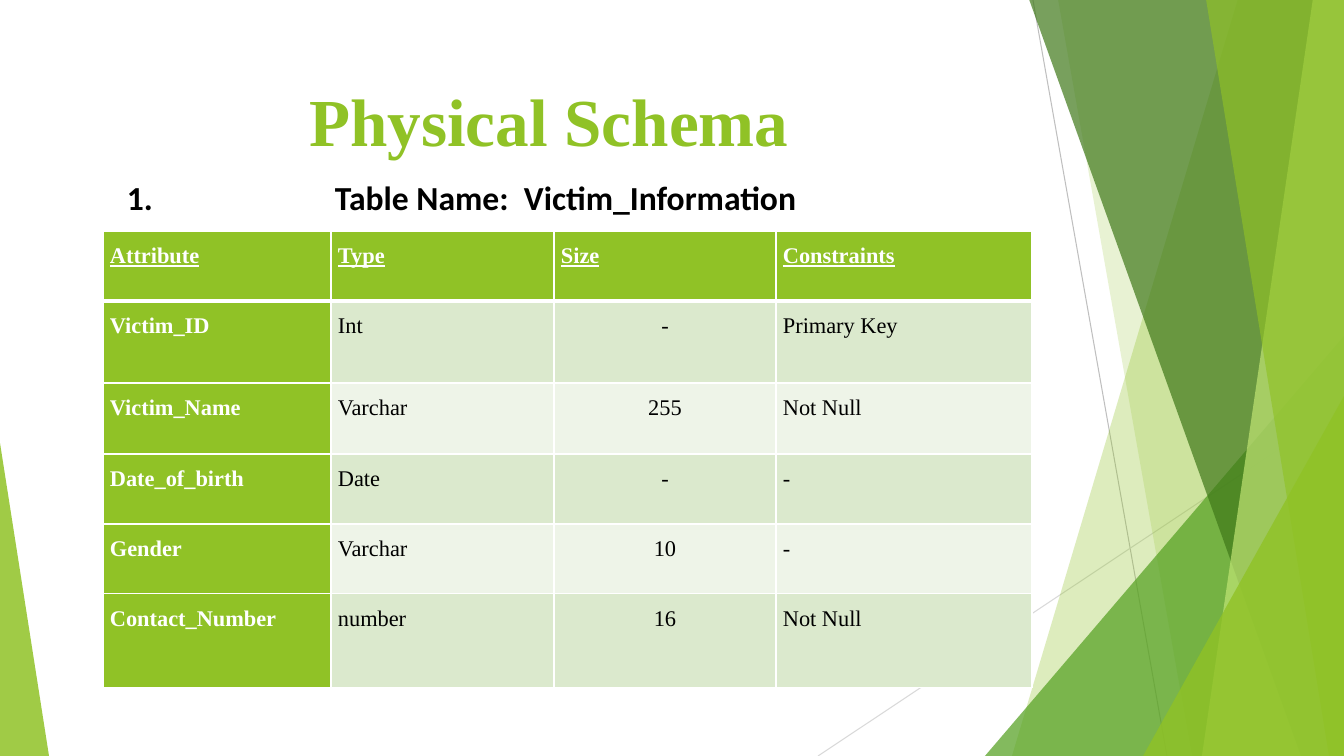
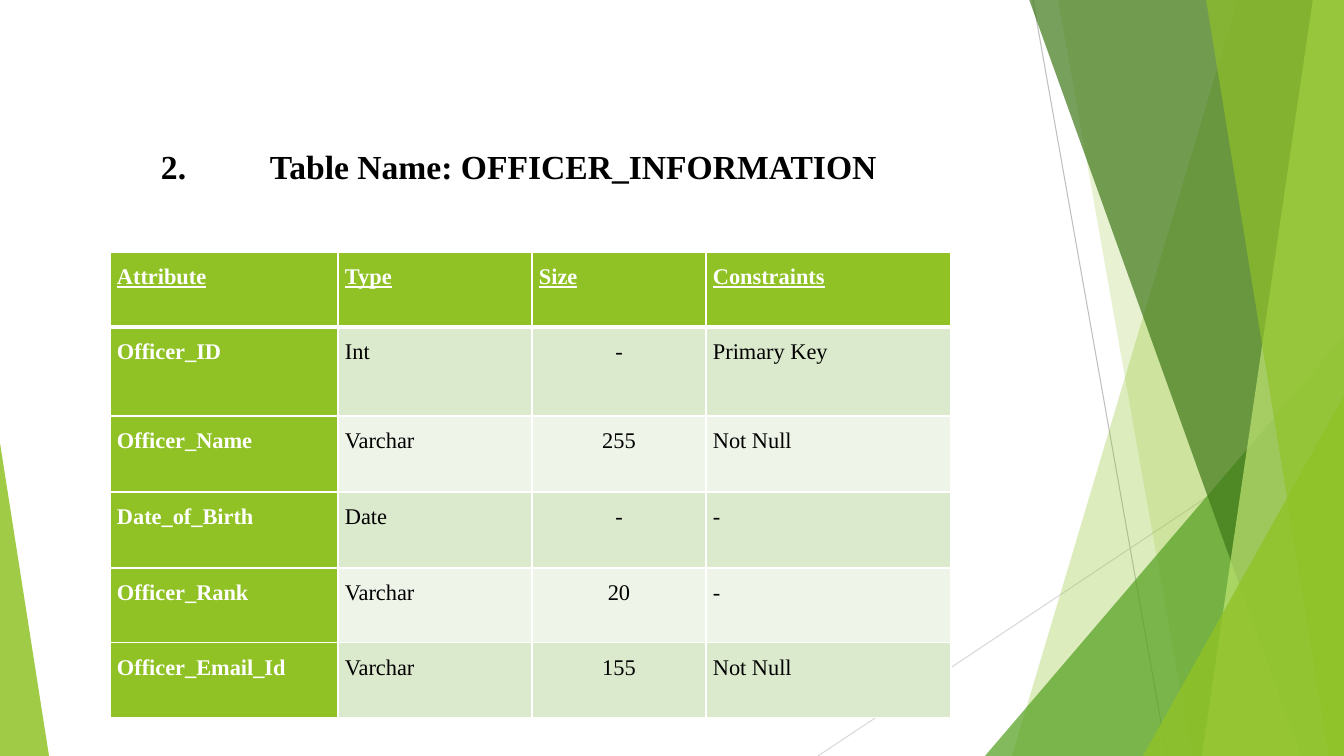
from lxml.etree import SubElement
from pptx import Presentation
from pptx.dml.color import RGBColor
from pptx.enum.shapes import MSO_CONNECTOR, MSO_SHAPE
from pptx.enum.text import MSO_ANCHOR, PP_ALIGN
from pptx.oxml.ns import qn
from pptx.util import Emu, Pt

# Shared look
WIDTH, HEIGHT = 1344, 756
EMU_PER_PX = 12192000 / WIDTH
GREEN, LEAF, FOREST, LIME = "90C226", "54A021", "3F7819", "C0E474"
WHITE, BLACK = "FFFFFF", "000000"
BANDS = ("DBE9CD", "EEF4E8")
SERIF, SANS = "Times New Roman", "Calibri"
HEADER = ("Attribute", "Type", "Size", "Constraints")
SIZE_COLUMN = HEADER.index("Size")

# Background facets, back to front; a band is (top left, top right, bottom right, bottom left)
THREADS = [((1033, 0), (1167, HEIGHT), "BFBFBF"), ((WIDTH, 406), (818, HEIGHT), "D9D9D9")]
FACETS = [
    ("band", (1238, WIDTH, WIDTH, 1012), GREEN, 30),
    ("band", (1058, WIDTH, WIDTH, 1192), GREEN, 20),
    ("triangle", (985, 336, 359, 420, 1), LEAF, 72),
    ("band", (1029, WIDTH, WIDTH, 1301), FOREST, 70),
    ("band", (1313, WIDTH, WIDTH, 1202), LIME, 70),
    ("band", (1206, WIDTH, WIDTH, 1329), GREEN, 65),
    ("triangle", (1143, 396, 201, 360, 1), GREEN, 80),
    ("triangle", (0, 443, 49, 313, 0), GREEN, 85),
]

VICTIM_ROWS = [
    ("Victim_ID", "Int", "-", "Primary Key"),
    ("Victim_Name", "Varchar", "255", "Not Null"),
    ("Date_of_birth", "Date", "-", "-"),
    ("Gender", "Varchar", "10", "-"),
    ("Contact_Number", "number", "16", "Not Null"),
]
OFFICER_ROWS = [
    ("Officer_ID", "Int", "-", "Primary Key"),
    ("Officer_Name", "Varchar", "255", "Not Null"),
    ("Date_of_Birth", "Date", "-", "-"),
    ("Officer_Rank", "Varchar", "20", "-"),
    ("Officer_Email_Id", "Varchar", "155", "Not Null"),
]


def px(length):
    return Emu(round(length * EMU_PER_PX))


def color(value):
    return RGBColor.from_string(value)


def style_font(paragraph, name, size, value, bold=True, underline=False):
    font = paragraph.font
    font.name, font.size, font.bold = name, Pt(size), bold
    font.color.rgb = color(value)
    if underline:
        font.underline = True


# Background
def add_thread(slide, start, end, value):
    line = slide.shapes.add_connector(
        MSO_CONNECTOR.STRAIGHT, *map(px, start), *map(px, end))
    line.line.color.rgb = color(value)
    line.line.width = Pt(0.75)
    SubElement(line.element.spPr, qn("a:effectLst"))


def add_band(slide, corners):
    top_left, top_right, bottom_right, bottom_left = corners
    builder = slide.shapes.build_freeform(px(top_left), px(-1), scale=1.0)
    builder.add_line_segments([
        (px(top_right), px(-1)), (px(bottom_right), px(HEIGHT)), (px(bottom_left), px(HEIGHT))])
    return builder.convert_to_shape()


def add_triangle(slide, geometry):
    *box, apex = geometry
    triangle = slide.shapes.add_shape(MSO_SHAPE.ISOSCELES_TRIANGLE, *map(px, box))
    triangle.adjustments[0] = apex
    return triangle


def paint(shape, value, opacity):
    shape.shadow.inherit = False
    shape.fill.solid()
    shape.fill.fore_color.rgb = color(value)
    fill = shape.element.spPr.find(qn("a:solidFill"))
    SubElement(fill[0], qn("a:alpha"), val=str(opacity * 1000))
    shape.line.fill.background()


def add_background(slide):
    for thread in THREADS:
        add_thread(slide, *thread)
    makers = {"band": add_band, "triangle": add_triangle}
    for kind, geometry, value, opacity in FACETS:
        paint(makers[kind](slide, geometry), value, opacity)


# Text
def add_text(slide, box, text, top_inset=5, anchor=MSO_ANCHOR.TOP):
    frame = slide.shapes.add_textbox(*map(px, box)).text_frame
    frame.word_wrap = True
    frame.vertical_anchor = anchor
    frame.margin_left = frame.margin_right = px(10)
    frame.margin_top, frame.margin_bottom = px(top_inset), px(5)
    paragraph = frame.paragraphs[0]
    paragraph.text = text
    return paragraph


def add_title(slide, text):
    paragraph = add_text(slide, (75, 68, 948, 145), text, top_inset=11)
    paragraph.alignment = PP_ALIGN.CENTER
    style_font(paragraph, SERIF, 48, GREEN)


def add_heading(slide, box, parts, stops, font_name, **layout):
    """Set the parts of a table heading on tab stops."""
    paragraph = add_text(slide, box, "\t".join(parts), **layout)
    tabs = SubElement(paragraph._p.get_or_add_pPr(), qn("a:tabLst"))
    for stop in stops:
        SubElement(tabs, qn("a:tab"), pos=str(px(stop)), algn="l")
    style_font(paragraph, font_name, 24, BLACK)


# Tables
def set_borders(cell, top, bottom):
    properties = cell._tc.get_or_add_tcPr()
    for side, width in (("L", 1), ("R", 1), ("T", top), ("B", bottom)):
        line = SubElement(properties, qn(f"a:ln{side}"), w=str(Pt(width)))
        fill = SubElement(line, qn("a:solidFill"))
        SubElement(fill, qn("a:srgbClr"), val=WHITE)


def fill_cell(cell, text, row, column):
    is_header = row == 0
    is_label = is_header or column == 0
    set_borders(cell, top=3 if row == 1 else 1, bottom=3 if is_header else 1)
    cell.fill.solid()
    cell.fill.fore_color.rgb = color(GREEN if is_label else BANDS[(row - 1) % 2])
    cell.margin_left = cell.margin_right = px(7)
    cell.margin_top = cell.margin_bottom = 0
    paragraph = cell.text_frame.paragraphs[0]
    paragraph.text = text
    paragraph.line_spacing = 1.5
    paragraph.space_before = Pt(9.8)
    if column == SIZE_COLUMN and not is_header:
        paragraph.alignment = PP_ALIGN.CENTER
    style_font(paragraph, SERIF, 16, WHITE if is_label else BLACK, is_label, is_header)


def add_schema_table(slide, left, top, widths, heights, records):
    table = slide.shapes.add_table(
        len(heights), len(widths), px(left), px(top), px(sum(widths)), px(sum(heights))).table
    table.first_col = True
    for column, width in zip(table.columns, widths):
        column.width = px(width)
    for row, height in zip(table.rows, heights):
        row.height = px(height)
    for row, record in enumerate([HEADER, *records]):
        for column, text in enumerate(record):
            fill_cell(table.cell(row, column), text, row, column)


def add_slide(presentation):
    slide = presentation.slides.add_slide(presentation.slide_layouts[6])
    add_background(slide)
    return slide


def main():
    presentation = Presentation()
    presentation.slide_width, presentation.slide_height = px(WIDTH), px(HEIGHT)

    # Victim table
    slide = add_slide(presentation)
    add_title(slide, "Physical Schema")
    add_schema_table(slide, 103, 231, (228, 223, 222, 256),
                     (70, 82, 71, 70, 70, 94), VICTIM_ROWS)
    add_heading(slide, (117, 172, 855, 50), ("1.", "Table Name:", "Victim_Information"),
                (208, 397), SANS)

    # Officer table
    slide = add_slide(presentation)
    add_schema_table(slide, 110, 252, (228, 194, 174, 245),
                     (75, 89, 76, 76, 75, 75), OFFICER_ROWS)
    add_heading(slide, (151, 132, 833, 59), ("2.", "Table Name: OFFICER_INFORMATION"),
                (109,), SERIF, top_inset=14, anchor=MSO_ANCHOR.MIDDLE)

    presentation.save("out.pptx")


if __name__ == "__main__":
    main()
